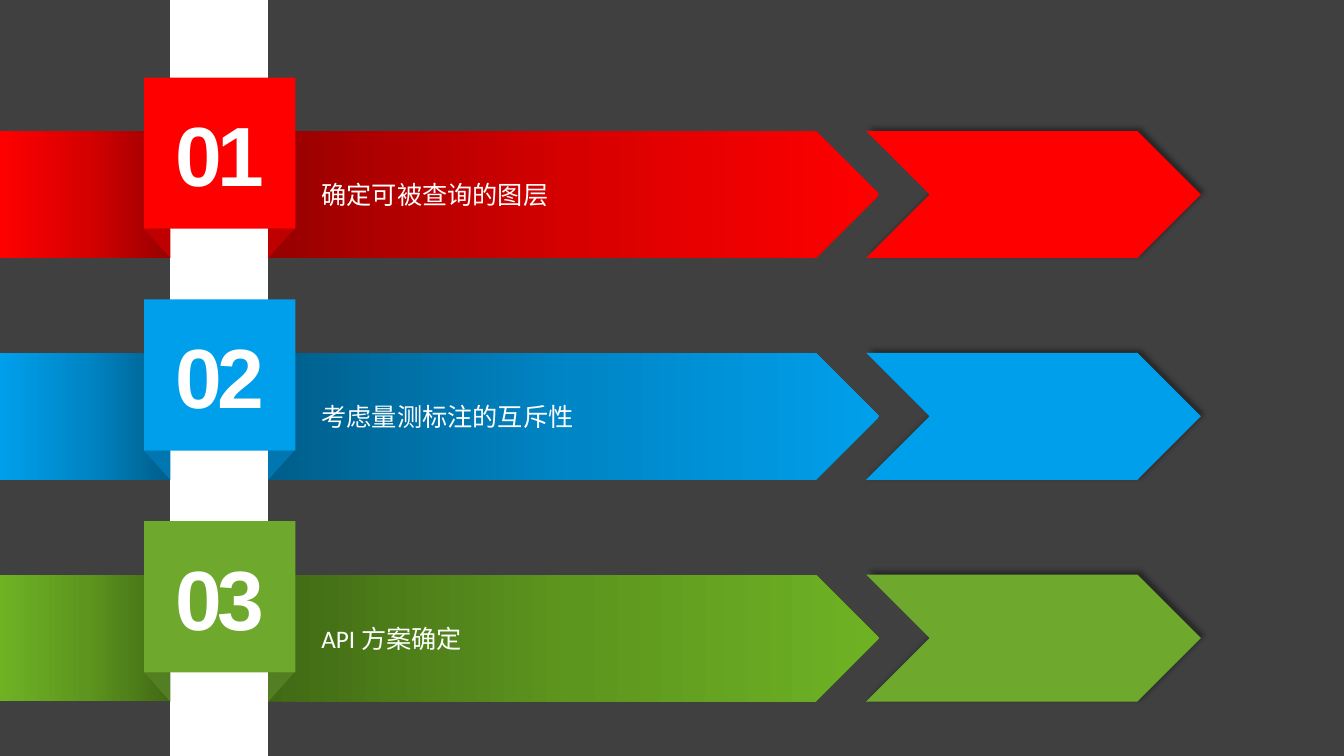
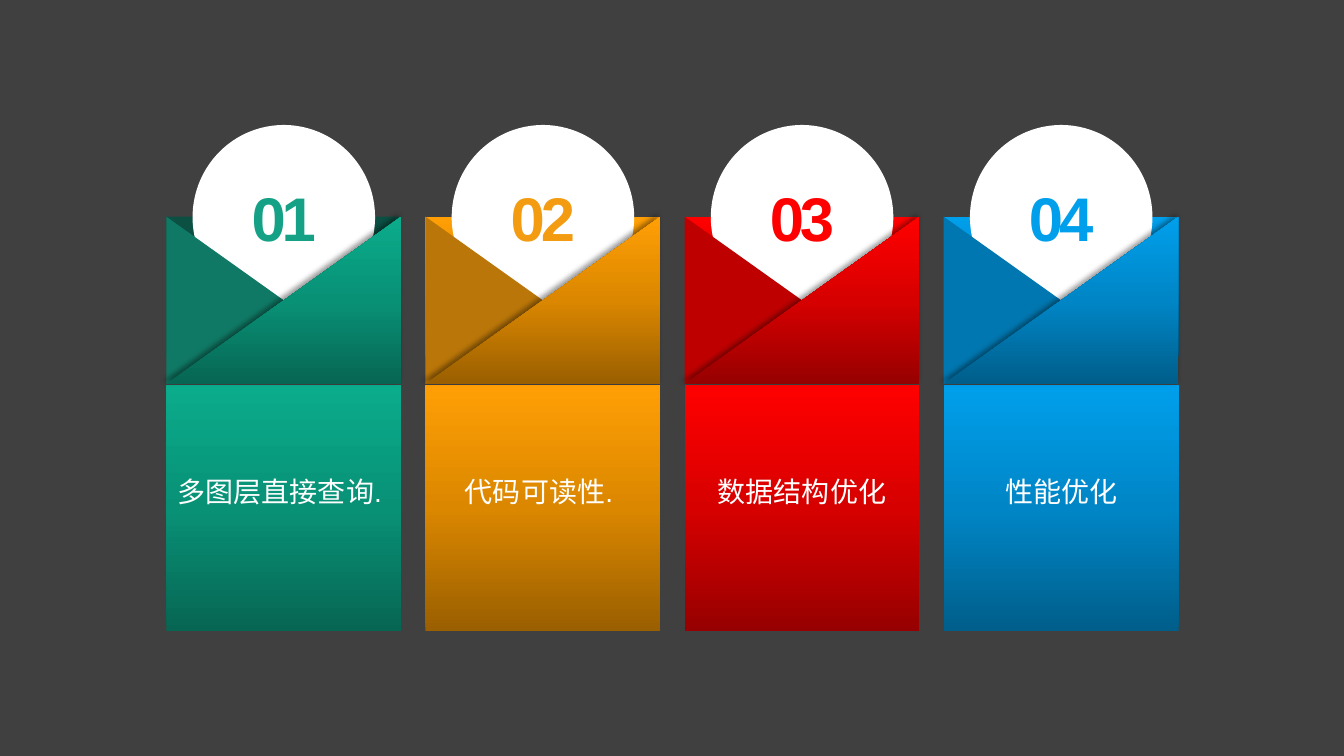
import copy
import pptx
import pptx.util
import pptx.dml.color
import pptx.enum.shapes
import pptx.enum.text
import pptx.oxml
import pptx.oxml.ns

Inches, Pt = pptx.util.Inches, pptx.util.Pt
SHAPE = pptx.enum.shapes.MSO_SHAPE
ALIGN = pptx.enum.text.PP_ALIGN
qn = pptx.oxml.ns.qn

BACKGROUND, WHITE = "404040", "FFFFFF"
RED = {"main": "FF0000", "fold": "BF0000", "shade": ("970000", "D70000", "FF0000")}
BLUE = {"main": "009FEB", "fold": "0077B0", "shade": ("005E8B", "0086C6", "009FEB")}
GREEN = {"main": "6EA92D", "fold": "537F22", "shade": ("416A15", "5D961E", "6EB224")}
TEAL = {"main": "15A186", "fold": "107965", "shade": ("066653", "099176", "0AAC8C"),
        "back": "0B5043"}
ORANGE = {"main": "F39C11", "fold": "BA7609", "shade": ("9A5F00", "DB8700", "FF9F05")}

STEPS = [
    ("01", "确定可被查询的图层", "Arial", RED),
    ("02", "考虑量测标注的互斥性", "Arial", BLUE),
    ("03", "API 方案确定", "Calibri", GREEN),
]
ENVELOPES = [
    ("01", "多图层直接查询. ", "Arial", TEAL),
    ("02", "代码可读性. ", "Arial", ORANGE),
    ("03", "数据结构优化", "Calibri", RED),
    ("04", "性能优化", "Arial", BLUE),
]

prs = pptx.Presentation()
prs.slide_width, prs.slide_height = Inches(13.33), Inches(7.5)


def rgb(value):
    return pptx.dml.color.RGBColor.from_string(value)


def new_slide():
    s = prs.slides.add_slide(prs.slide_layouts[6])
    s.background.fill.solid()
    s.background.fill.fore_color.rgb = rgb(BACKGROUND)
    return s


def add_block(s, kind, x, y, w, h, color, angle=0, flip="", shadow=None):
    sp = s.shapes.add_shape(kind, Inches(x), Inches(y), Inches(w), Inches(h))
    sp.shadow.inherit = False
    sp.line.fill.background()
    spPr = sp.element.spPr
    if isinstance(color, tuple):
        sp.fill.gradient()
        sp.fill.gradient_angle = angle
        stops = spPr.find(".//" + qn("a:gsLst"))
        stops.insert(1, copy.deepcopy(stops[0]))
        for stop, position, value in zip(sp.fill.gradient_stops, (0, 0.5, 1), color):
            stop.position = position
            stop.color.rgb = rgb(value)
    else:
        sp.fill.solid()
        sp.fill.fore_color.rgb = rgb(color)
    for axis in flip:
        spPr.find(qn("a:xfrm")).set("flip" + axis, "1")
    if shadow is not None:
        spPr.find(qn("a:effectLst")).append(pptx.oxml.parse_xml(
            f'<a:outerShdw {pptx.oxml.ns.nsdecls("a")} blurRad="{Pt(4)}" dist="{Pt(3)}" '
            f'dir="{shadow * 60000}" algn="ctr" rotWithShape="0"><a:srgbClr val="000000">'
            '<a:alpha val="40000"/></a:srgbClr></a:outerShdw>'))
    return sp


def add_text(sp, text, size, color=WHITE, font="Arial", align=ALIGN.CENTER):
    tf = sp.text_frame
    tf.word_wrap = True
    tf.vertical_anchor = pptx.enum.text.MSO_ANCHOR.MIDDLE
    p = tf.paragraphs[0]
    p.alignment = align
    r = p.add_run()
    r.text = text
    r.font.size, r.font.name = Pt(size), font
    r.font.color.rgb = rgb(color)
    return p, r


def add_number(sp, number, size, color):
    p, r = add_text(sp, number, size, color)
    r.font.bold = True
    r.font._element.set("spc", "-300")


def add_step(s, top, number, label, font, tone):
    bar_h, square, fold_w, fold_h = 1.26, 1.5, 0.26, 0.29
    left, right = 1.69, 2.66
    fold_y = top + bar_h - fold_h
    arrow = add_block(s, SHAPE.PENTAGON, right, top, 6.06, bar_h, tone["shade"])
    p, r = add_text(arrow, label, 18, font=font, align=ALIGN.LEFT)
    p._p.get_or_add_pPr().set("marL", str(Inches(0.43)))
    add_block(s, SHAPE.RECTANGLE, 0, top, left, bar_h, tone["shade"], 180)
    for x, flip in ((right, "V"), (left - fold_w, "HV")):
        add_block(s, SHAPE.RIGHT_TRIANGLE, x, fold_y, fold_w, fold_h, tone["fold"], flip=flip)
    tile = add_block(s, SHAPE.RECTANGLE, left - fold_w, fold_y - square, square, square,
                     tone["main"])
    add_number(tile, number, 60, WHITE)
    add_block(s, SHAPE.CHEVRON, 8.59, top, 3.32, bar_h, tone["main"], shadow=315)


def add_envelope(s, x, number, label, font, tone):
    top, w, flap_h, disc_w, disc_h = 2.15, 2.33, 1.66, 1.81, 1.83
    add_block(s, SHAPE.RECTANGLE, x, top, w, 1.39, tone.get("back", tone["shade"]), 90)
    disc = add_block(s, SHAPE.OVAL, x + (w - disc_w) / 2, 1.24, disc_w, disc_h, WHITE)
    add_number(disc, number, 44, tone["main"])
    add_block(s, SHAPE.RIGHT_TRIANGLE, x, top, w, flap_h, tone["fold"])
    card = add_block(s, SHAPE.RECTANGLE, x, 3.82, w, 2.44, tone["shade"], 90)
    add_text(card, label, 20, font=font)
    card.text_frame.margin_bottom = Inches(0.38)
    add_block(s, SHAPE.RIGHT_TRIANGLE, x, top, w, flap_h, tone["shade"], 90, "H", 225)


s = new_slide()
ribbon = add_block(s, SHAPE.RECTANGLE, 1.69, 0, 0.96, 7.5, WHITE)
ribbon.line.color.rgb = rgb(WHITE)
ribbon.line.width = Pt(1)
for i, step in enumerate(STEPS):
    add_step(s, 1.3 + 2.2 * i, *step)

s = new_slide()
for i, envelope in enumerate(ENVELOPES):
    add_envelope(s, 1.65 + 2.57 * i, *envelope)

prs.save("out.pptx")
